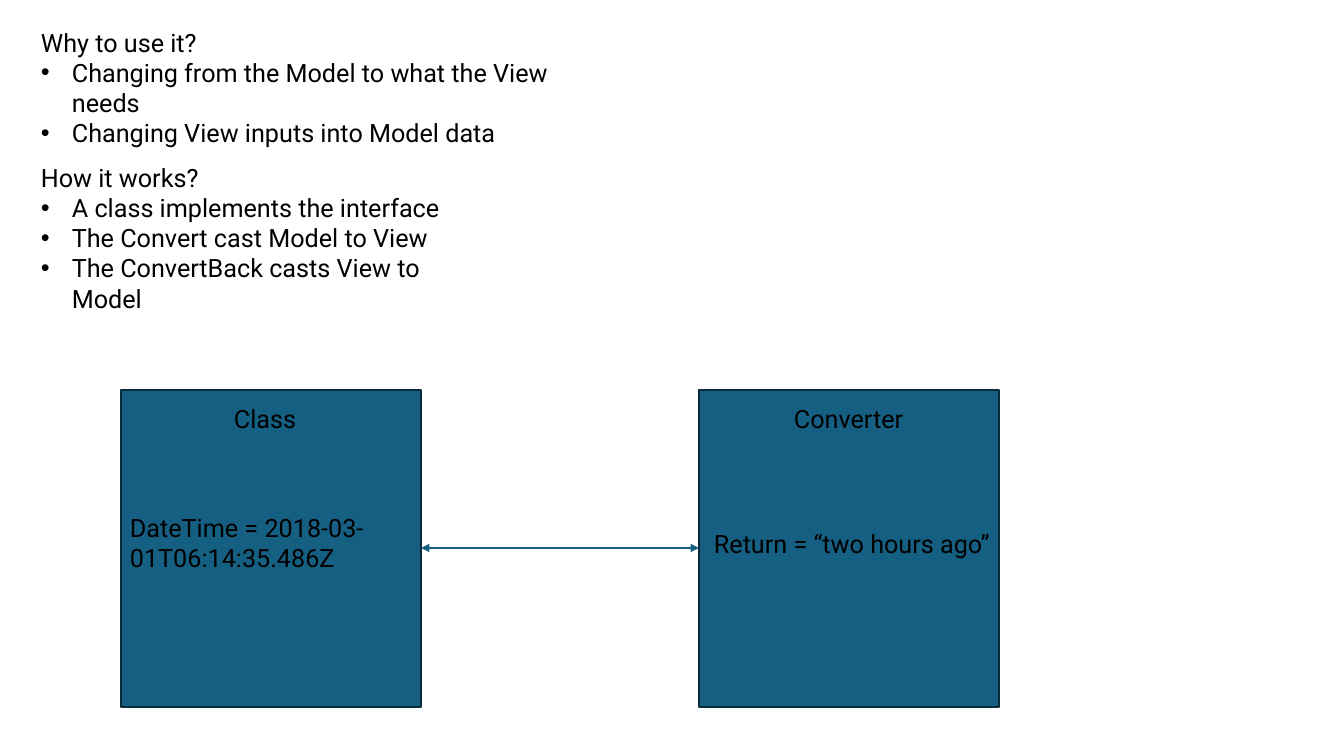
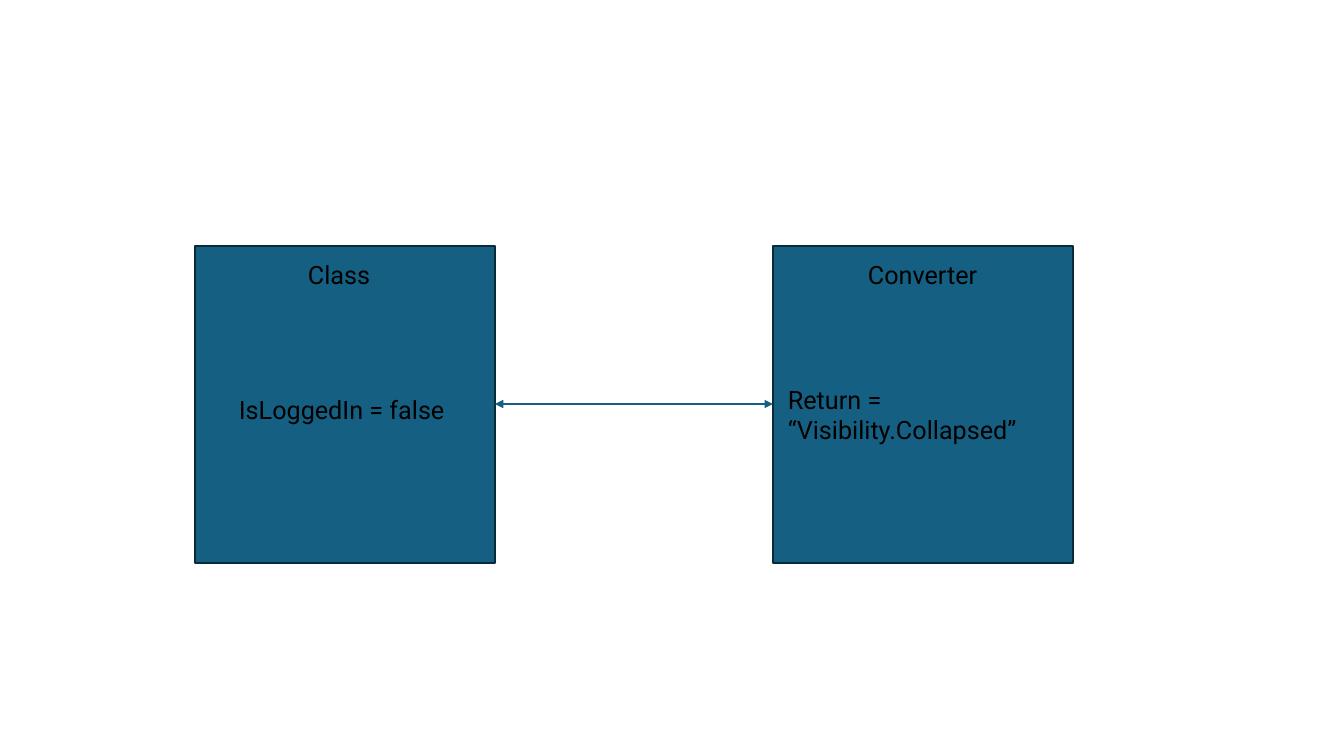
from dataclasses import dataclass

import pptx
import pptx.dml.color
import pptx.enum.shapes
import pptx.enum.text
import pptx.oxml.ns
import pptx.slide
import pptx.util
from lxml import etree

RGBColor = pptx.dml.color.RGBColor
BLUE = RGBColor(0x15, 0x60, 0x82)
NAVY = RGBColor(0x09, 0x2A, 0x39)
BLACK = RGBColor(0x00, 0x00, 0x00)
FONT = "Roboto"
FONT_SIZE = pptx.util.Pt(18)
LINE_WIDTH = pptx.util.Pt(1.5)

SLIDE_W, SLIDE_H = 1344, 756
EMU_PER_PX = pptx.util.Inches(7.5) / SLIDE_H
BOX_W, BOX_H, BOX_GAP = 300, 317, 278
TITLE_DY = 8
INDENT = 31
ONE_LINE, TWO_LINES = 41, 71


@dataclass(frozen=True)
class Notes:
    x: int
    y: int
    w: int
    h: int
    heading: str
    bullets: tuple[str, ...]


@dataclass(frozen=True)
class Value:
    """Text inside a box, placed relative to the box corner."""
    text: str
    dx: int
    dy: int
    h: int = ONE_LINE


@dataclass(frozen=True)
class Diagram:
    x: int
    y: int
    class_value: Value
    converter_value: Value
    notes: tuple[Notes, ...] = ()


DIAGRAMS = (
    Diagram(
        121, 390,
        Value("DateTime = 2018-03-01T06:14:35.486Z", -1, 117, TWO_LINES),
        Value("Return = “two hours ago”", 5, 133),
        (
            Notes(31, 22, 585, 102, "Why to use it?", (
                "Changing from the Model to what the View needs",
                "Changing View inputs into Model data",
            )),
            Notes(31, 157, 462, 132, "How it works?", (
                "A class implements the interface",
                "The Convert cast Model to View",
                "The ConvertBack casts View to Model",
            )),
        ),
    ),
    Diagram(
        195, 246,
        Value("IsLoggedIn = false", 34, 143),
        Value("Return = “Visibility.Collapsed”", 5, 133, TWO_LINES),
    ),
)


def px(n: int) -> pptx.util.Emu:
    return pptx.util.Emu(round(n * EMU_PER_PX))


def add_bullet(p) -> None:
    pPr = p._p.get_or_add_pPr()
    pPr.set("marL", str(px(INDENT)))
    pPr.set("indent", str(-px(INDENT)))
    for tag, name, value in (("a:buFont", "typeface", "Arial"),
                             ("a:buChar", "char", "•")):
        etree.SubElement(pPr, pptx.oxml.ns.qn(tag)).set(name, value)


def add_text(slide: pptx.slide.Slide, text: str, *, x: int, y: int, w: int,
             h: int = ONE_LINE, bullets: tuple[str, ...] = ()) -> None:
    tf = slide.shapes.add_textbox(px(x), px(y), px(w), px(h)).text_frame
    tf.word_wrap = True
    tf.auto_size = pptx.enum.text.MSO_AUTO_SIZE.SHAPE_TO_FIT_TEXT
    for i, line in enumerate((text, *bullets)):
        p = tf.add_paragraph() if i else tf.paragraphs[0]
        if i:
            add_bullet(p)
        r = p.add_run()
        r.text = line
        r.font.name = FONT
        r.font.size = FONT_SIZE
        r.font.color.rgb = BLACK


def add_box(slide: pptx.slide.Slide, x: int, y: int) -> None:
    sp = slide.shapes.add_shape(pptx.enum.shapes.MSO_SHAPE.RECTANGLE,
                                px(x), px(y), px(BOX_W), px(BOX_H))
    sp.shadow.inherit = False
    sp.fill.solid()
    sp.fill.fore_color.rgb = BLUE
    sp.line.color.rgb = NAVY
    sp.line.width = LINE_WIDTH


def add_double_arrow(slide: pptx.slide.Slide, x1: int, x2: int, y: int) -> None:
    cxn = slide.shapes.add_connector(pptx.enum.shapes.MSO_CONNECTOR.STRAIGHT,
                                     px(x1), px(y), px(x2), px(y))
    cxn.line.color.rgb = BLUE
    cxn.line.width = LINE_WIDTH
    ln = cxn.line._get_or_add_ln()
    for tag in ("a:headEnd", "a:tailEnd"):
        etree.SubElement(ln, pptx.oxml.ns.qn(tag)).set("type", "triangle")
    etree.SubElement(cxn._element.spPr, pptx.oxml.ns.qn("a:effectLst"))


def draw_diagram(slide: pptx.slide.Slide, d: Diagram) -> None:
    for n in d.notes:
        add_text(slide, n.heading, x=n.x, y=n.y, w=n.w, h=n.h,
                 bullets=n.bullets)
    converter_x = d.x + BOX_W + BOX_GAP
    for x in (d.x, converter_x):
        add_box(slide, x, d.y)
    add_double_arrow(slide, d.x + BOX_W, converter_x, d.y + BOX_H // 2)
    for x, title, title_dx, title_w, value in (
        (d.x, "Class", 103, 104, d.class_value),
        (converter_x, "Converter", 85, 139, d.converter_value),
    ):
        add_text(slide, title, x=x + title_dx, y=d.y + TITLE_DY, w=title_w)
        add_text(slide, value.text, x=x + value.dx, y=d.y + value.dy,
                 w=BOX_W, h=value.h)


def main() -> None:
    prs = pptx.Presentation()
    prs.slide_width, prs.slide_height = px(SLIDE_W), px(SLIDE_H)
    blank = prs.slide_layouts[6]
    for d in DIAGRAMS:
        draw_diagram(prs.slides.add_slide(blank), d)
    prs.save("out.pptx")


if __name__ == "__main__":
    main()
